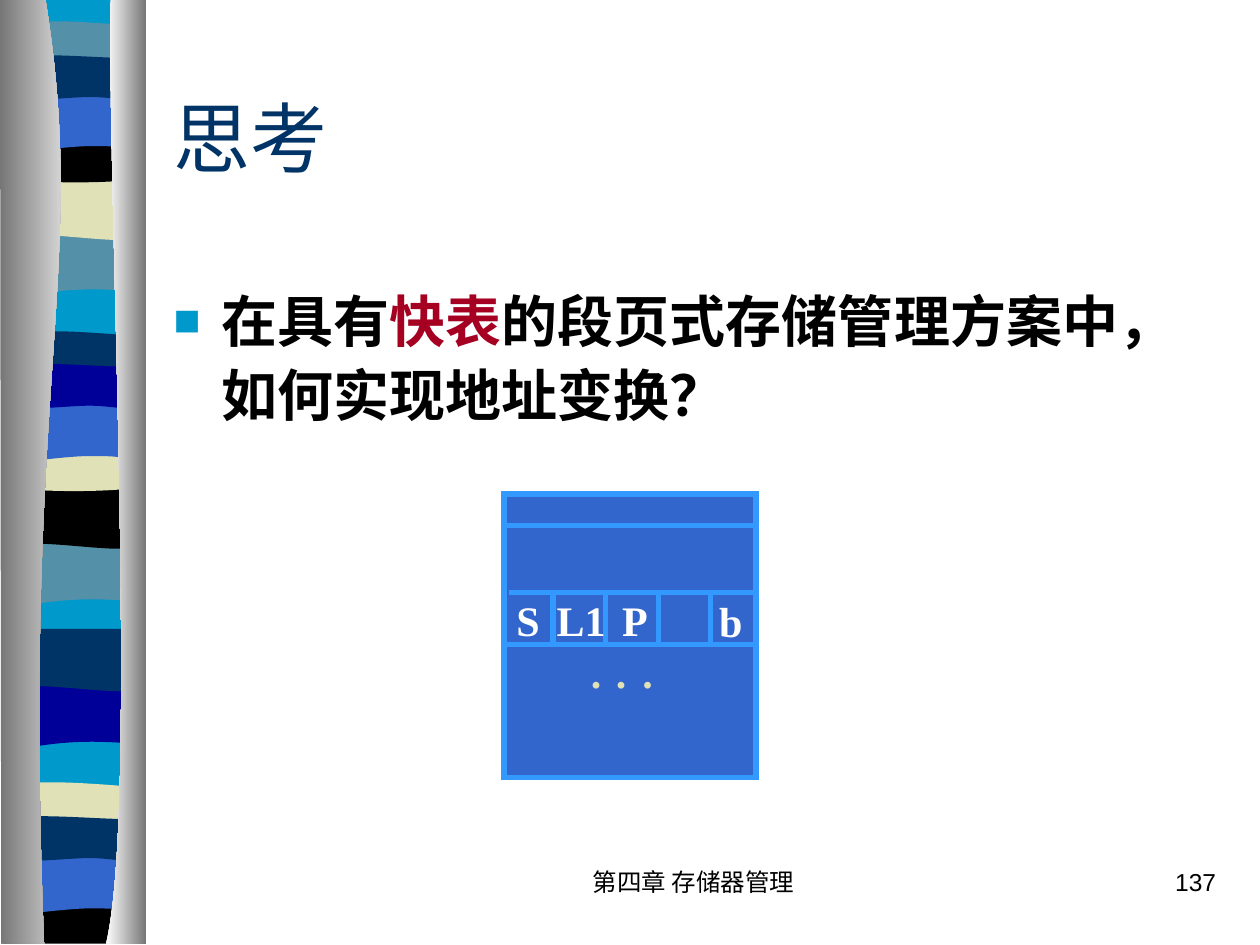
from dataclasses import dataclass

from lxml.etree import SubElement
from pptx import Presentation
from pptx.dml.color import RGBColor
from pptx.enum.shapes import MSO_CONNECTOR, MSO_SHAPE
from pptx.enum.text import MSO_ANCHOR, PP_ALIGN
from pptx.oxml.ns import qn
from pptx.util import Inches, Pt

COLS, ROWS = 100, 75
WIDE, HIGH = Inches(10), Inches(7.5)


@dataclass(frozen=True)
class Theme:
    navy: str = "003366"
    blue: str = "3366CC"
    deep: str = "000099"
    cyan: str = "0099CC"
    teal: str = "5490A8"
    sand: str = "E1E1B7"
    black: str = "000000"
    white: str = "FFFFFF"
    grey: str = "767676"
    red: str = "A50021"
    edge: str = "3399FF"
    serif: str = "Times New Roman"
    sans: str = "Arial"
    head: int = 44
    body: int = 32
    label: int = 24
    foot: int = 14
    rule: int = 3


class Page:
    def __init__(self, deck, theme):
        self.theme = theme
        self.slide = deck.slides.add_slide(deck.slide_layouts[6])
        self.shapes = self.slide.shapes
        self.paint(self.slide.background.fill, theme.white)

    def spot(self, col, row):
        return round(col * WIDE / COLS), round(row * HIGH / ROWS)

    def paint(self, fill, tone):
        fill.solid()
        fill.fore_color.rgb = RGBColor.from_string(tone)

    def free(self, start, steps, *tones, dx=0, dy=0):
        """Draw an outline of lines (2 numbers) and curves (6 numbers).

        Two tones make a gradient from left to right.
        """
        flat = [(s[i], s[i + 1]) for s in steps for i in range(0, len(s), 2)]
        dots = [self.spot(x + dx, y + dy) for x, y in [start, *flat]]
        pen = self.shapes.build_freeform(*dots[0], scale=1.0)
        pen.add_line_segments(dots[1:], close=True)
        shape = pen.convert_to_shape()
        self.bend(shape, steps)
        shape.shadow.inherit = False
        shape.line.fill.background()
        if len(tones) == 1:
            self.paint(shape.fill, tones[0])
            return
        shape.fill.gradient()
        shape.fill.gradient_angle = 0
        for stop, tone in zip(shape.fill.gradient_stops, tones):
            stop.color.rgb = RGBColor.from_string(tone)

    def bend(self, shape, steps):
        """Join each three line parts of a curve step into one cubic curve."""
        parts = iter(list(shape._element.iter(qn("a:lnTo"))))
        for step in steps:
            first = next(parts)
            if len(step) == 6:
                first.tag = qn("a:cubicBezTo")
                for part in (next(parts), next(parts)):
                    first.append(part[0])
                    part.getparent().remove(part)

    def rect(self, col, row, wide, high, tone):
        shape = self.shapes.add_shape(
            MSO_SHAPE.RECTANGLE, *self.spot(col, row), *self.spot(wide, high))
        shape.shadow.inherit = False
        self.paint(shape.fill, tone)
        self.stroke(shape.line)
        SubElement(shape._element.spPr.find(qn("a:ln")), qn("a:miter"), lim="800000")

    def stroke(self, line):
        line.color.rgb = RGBColor.from_string(self.theme.edge)
        line.width = Pt(self.theme.rule)

    def rule(self, x1, y1, x2, y2):
        link = self.shapes.add_connector(
            MSO_CONNECTOR.STRAIGHT, *self.spot(x1, y1), *self.spot(x2, y2))
        SubElement(link._element.spPr, qn("a:effectLst"))
        self.stroke(link.line)

    def text(self, col, row, wide, high, runs, size, font=None, bold=False,
             align=PP_ALIGN.LEFT, anchor=MSO_ANCHOR.TOP, wrap=True):
        """Add a text box of (text, colour) runs and return its paragraph."""
        box = self.shapes.add_textbox(*self.spot(col, row), *self.spot(wide, high))
        frame = box.text_frame
        frame.word_wrap = wrap
        frame.vertical_anchor = anchor
        para = frame.paragraphs[0]
        para.alignment = align
        for words, tone in runs:
            run = para.add_run()
            run.text = words
            run.font.name = font or self.theme.serif
            run.font.size = Pt(size)
            run.font.bold = bold
            run.font.color.rgb = RGBColor.from_string(tone)
        return para

    def label(self, col, row, wide, words, tone):
        self.text(col, row, wide, 5, [(words, tone)], self.theme.label,
                  bold=True, wrap=False)

    def bullet(self, para, sign, tone, share, indent):
        props = para._p.get_or_add_pPr()
        props.set("marL", str(Inches(indent)))
        props.set("indent", str(-Inches(indent)))
        color = SubElement(props, qn("a:buClr"))
        SubElement(color, qn("a:srgbClr"), val=tone)
        SubElement(props, qn("a:buSzPct"), val=str(share * 1000))
        SubElement(props, qn("a:buFont"), typeface=self.theme.sans)
        SubElement(props, qn("a:buChar"), char=sign)


def ribbon(page):
    """Stack three turns of coloured waves between two shaded panels."""
    t = page.theme
    left, right, top, base = 0.6, 11.4, -0.1, 74.7
    page.free((right, top), [(right, base), (left, base), (left, top)], t.cyan)
    bowl = (7.2, 0.5, 9.1, 0, right, 0)
    page.free((right, 0), [(right, 3.7), (left, 3.7), (left, 0), bowl],
              t.black, dx=-0.1, dy=71.2)
    # Each wave: steps from its top right corner, then top row and tone per turn.
    waves = [
        ([(right, 4.7), (3.9, 3.9, 2.4, 5.5, left, 4.7), (left, 0)],
         [(18.5, t.teal), (43.1, t.teal), (54.4, t.deep)]),
        ([(right, 4.7), (9.6, 5.5, 3.9, 4.1, left, 4.7), (left, 0)],
         [(14.1, t.sand), (38.6, t.black), (49.9, t.navy)]),
        ([(right, 2.4), (9.6, 2.8, 2.4, 2.8, left, 2.4), (left, 0),
          (1.2, -0.5, 2.9, -0.4, 4.7, -0.4), (6.5, -0.4, 10, -0.1, right, 0)],
         [(2.1, t.teal), (26.7, t.navy), (62.5, t.sand)]),
        ([(right, 3.3), (9.6, 3.8, 2.4, 3.8, left, 3.3), (left, 0), bowl],
         [(10.8, t.black), (35.3, t.sand)]),
        ([(right, 4.7), (9.7, 4.2, 9, 4.2, 7.2, 4.2),
          (5.4, 4.2, 2.2, 4.7, left, 4.7), (left, 0)],
         [(7.4, t.blue), (32, t.blue), (67.9, t.blue)]),
        ([(right, 3.1), (10.7, 3.6, 9, 3.1, 7.2, 3.1),
          (5.4, 3.1, 1.7, 3.6, left, 3.1), (left, 0),
          (2.1, -0.5, 7.9, 0, 9.7, 0), (11.5, 0, 11, 0, right, 0)],
         [(4.6, t.navy), (29.1, t.deep), (65, t.navy)]),
    ]
    for turn in range(3):
        for steps, tops in waves:
            for row, tone in tops[turn:turn + 1]:
                page.free((right, 0), steps, tone, dx=-0.1 if turn else 0, dy=row)
    page.free((3.6, top), [(7.1, 21.6, 1.7, 29.6, 3.5, 74.9),
                           (0.1, 74.9), (0, top)], t.grey, t.white)
    page.free((8.8, top), [(8.4, 12.5, 11.1, 64.6, 8.4, 74.9),
                           (11.6, 74.9), (11.6, 0)], t.white, t.grey)


def table(page):
    """Draw the lookup table with its one split row."""
    t = page.theme
    page.rect(40, 39.2, 20, 22.5, t.blue)
    for x, y, end in ((40, 41.7, 60), (40.4, 47, 60.1), (40, 51.15, 60.1)):
        page.rule(x, y, end, y)
    posts = [43.9 + 4.17 * i for i in range(4)]
    for x in posts[:2]:
        page.rule(x, 47, x, 51.1)
    for x in (45.9, 50, 47.9):
        page.label(x, 50.8, 2.8, ".", t.sand)
    for x, y, wide, words in ((40, 46.7, 3.8, "S"), (43.2, 46.7, 5.9, "L1"),
                              (56.1, 46.8, 3.8, "b")):
        page.label(x, y, wide, words, t.white)
    for x in posts[2:]:
        page.rule(x, 47, x, 51.1)
    page.label(48.4, 46.7, 4, "P", t.white)


def main():
    deck = Presentation()
    deck.slide_width, deck.slide_height = WIDE, HIGH
    t = Theme()
    page = Page(deck, t)
    ribbon(page)
    page.text(12.8, 5, 85, 11.7, [("思考", t.navy)], t.head,
              anchor=MSO_ANCHOR.MIDDLE)
    para = page.text(12.8, 21.7, 85, 45, [
        ("在具有", t.black), ("快表", t.red),
        ("的段页式存储管理方案中，如何实现地址变换？", t.black),
    ], t.body, bold=True)
    page.bullet(para, "■", t.cyan, 80, 0.38)
    para.line_spacing = 1.1
    table(page)
    page.text(39.2, 68.3, 31.7, 5, [("第四章 存储器管理", t.black)], t.foot,
              t.sans, align=PP_ALIGN.CENTER)
    page.text(76.7, 68.3, 20.8, 5, [("137", t.black)], t.foot, t.sans,
              align=PP_ALIGN.RIGHT)
    deck.save("out.pptx")


if __name__ == "__main__":
    main()
